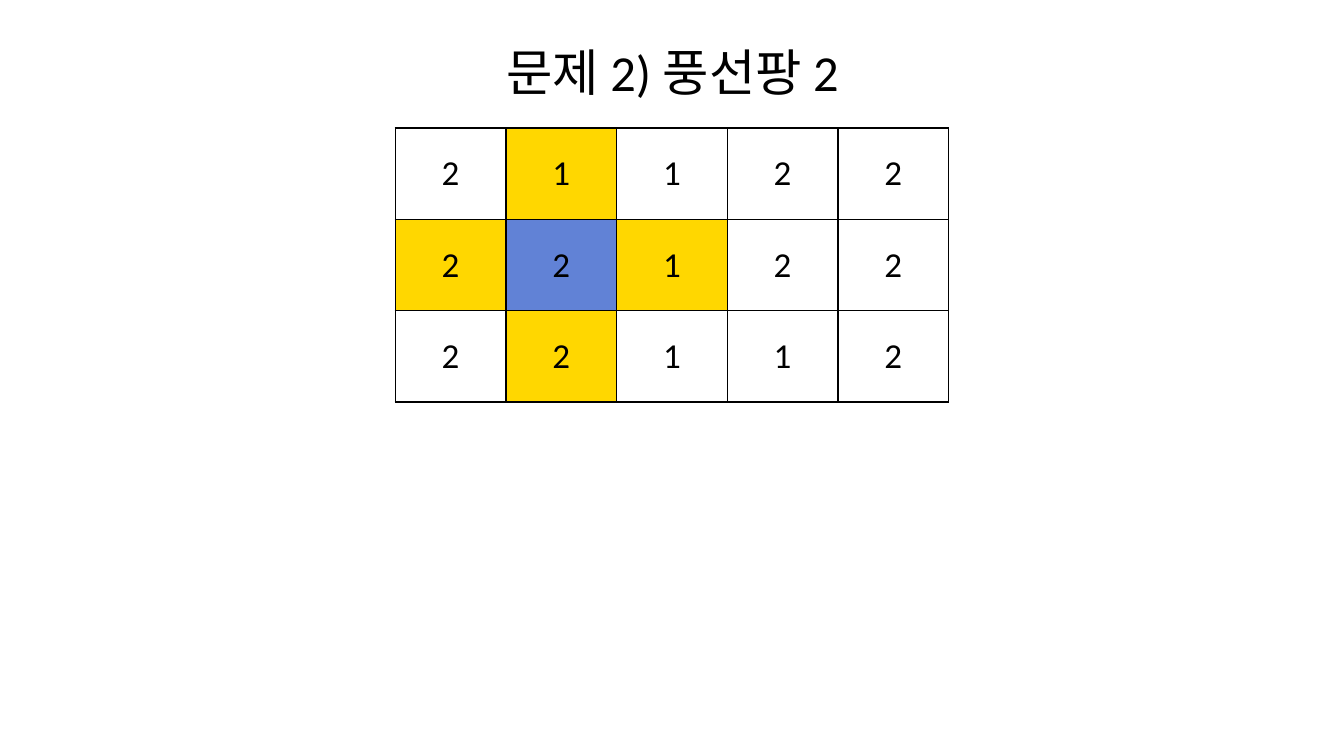
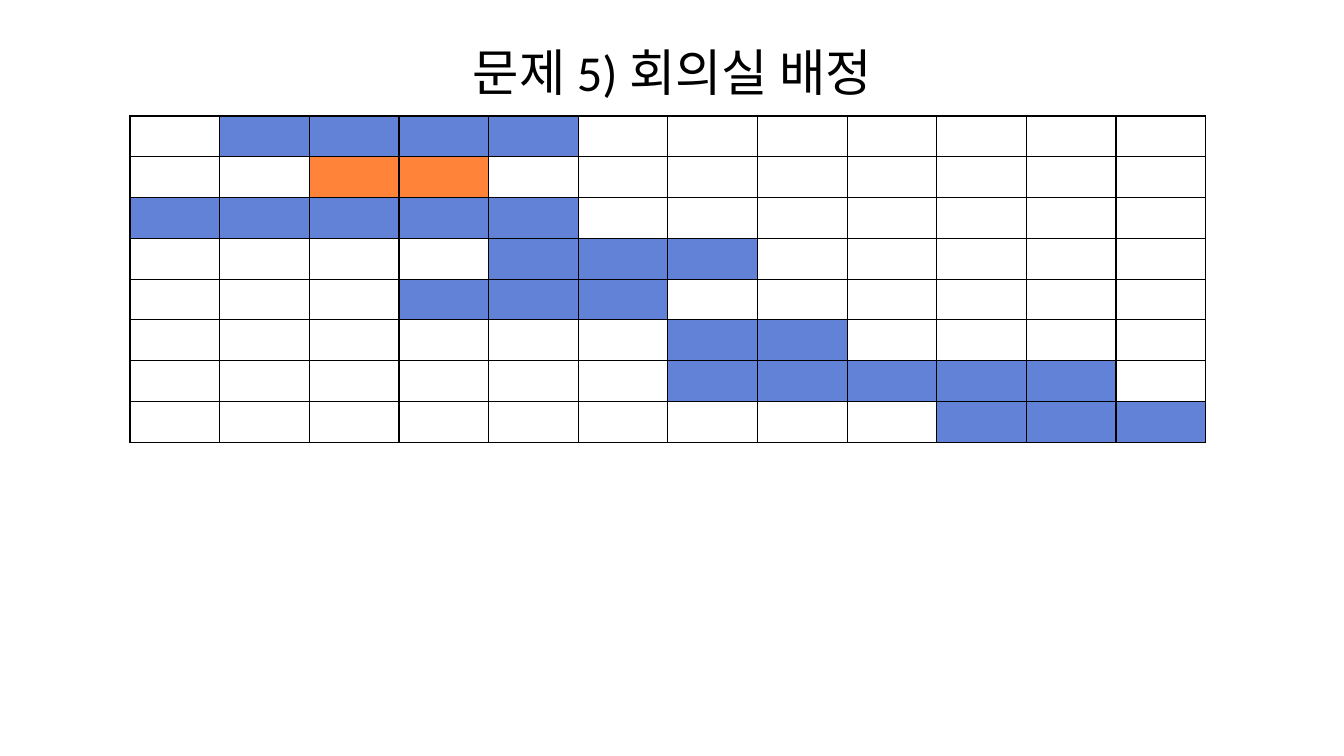
"""Build two slides that show algorithm problems as coloured grids."""
from pptx import Presentation
from pptx.dml.color import RGBColor
from pptx.enum.text import MSO_ANCHOR, PP_ALIGN
from pptx.oxml import parse_xml
from pptx.oxml.ns import nsdecls
from pptx.util import Inches, Pt

BLACK = RGBColor(0x00, 0x00, 0x00)
GOLD = RGBColor(0xFF, 0xD7, 0x00)
BLUE = RGBColor(0x61, 0x82, 0xD6)
ORANGE = RGBColor(0xFF, 0x84, 0x3A)
FILLS = {"Y": GOLD, "B": BLUE, "O": ORANGE}
FONT = "Calibri"

BALLOONS = ["21122", "22122", "22112"]
BALLOON_FILLS = [".Y...", "YBY..", ".Y..."]
MEETING_FILLS = [
    ".BBBB.......",
    "..OO........",
    "BBBBB.......",
    "....BBB.....",
    "...BBB......",
    "......BB....",
    "......BBBBB.",
    ".........BBB",
]


def write(tf, text, size=18, color=BLACK, align=PP_ALIGN.CENTER):
    p = tf.paragraphs[0]
    p.alignment = align
    r = p.add_run()
    r.text = text
    r.font.name = FONT
    r.font.size = Pt(size)
    r.font.color.rgb = color


def add_title(s, text):
    sp = s.shapes.add_textbox(Inches(0.67), Inches(0.4), Inches(12), Inches(0.62))
    tf = sp.text_frame
    tf.word_wrap = True
    tf.vertical_anchor = MSO_ANCHOR.MIDDLE
    write(tf, text, size=36)


def add_borders(cell, width=Pt(1), color=BLACK):
    tc_pr = cell._tc.get_or_add_tcPr()
    for side in ("lnL", "lnR", "lnT", "lnB"):
        tc_pr.append(parse_xml(
            f'<a:{side} {nsdecls("a")} w="{width}"><a:solidFill>'
            f'<a:srgbClr val="{color}"/></a:solidFill></a:{side}>'))


def format_cell(cell, fill):
    cell.vertical_anchor = MSO_ANCHOR.MIDDLE
    cell.margin_top = cell.margin_bottom = 0
    add_borders(cell)
    if fill is None:
        cell.fill.background()
    else:
        cell.fill.solid()
        cell.fill.fore_color.rgb = fill


def add_grid(s, left, top, width, height, fills, values=None):
    rows, cols = len(fills), len(fills[0])
    table = s.shapes.add_table(rows, cols, Inches(left), Inches(top),
                               Inches(width), Inches(height)).table
    table.first_row = table.horz_banding = False
    for i, codes in enumerate(fills):
        for j, code in enumerate(codes):
            cell = table.cell(i, j)
            format_cell(cell, FILLS.get(code))
            if values:
                write(cell.text_frame, values[i][j], size=25)


def add_slide(prs, title):
    s = prs.slides.add_slide(prs.slide_layouts[6])
    add_title(s, title)
    return s


def main():
    prs = Presentation()
    prs.slide_width, prs.slide_height = Inches(13.33), Inches(7.5)
    s = add_slide(prs, "문제 2) 풍선팡 2")
    add_grid(s, 3.92, 1.27, 5.49, 2.72, BALLOON_FILLS, BALLOONS)
    s = add_slide(prs, "문제 5) 회의실 배정")
    add_grid(s, 1.29, 1.15, 10.67, 3.24, MEETING_FILLS)
    prs.save("out.pptx")


if __name__ == "__main__":
    main()
